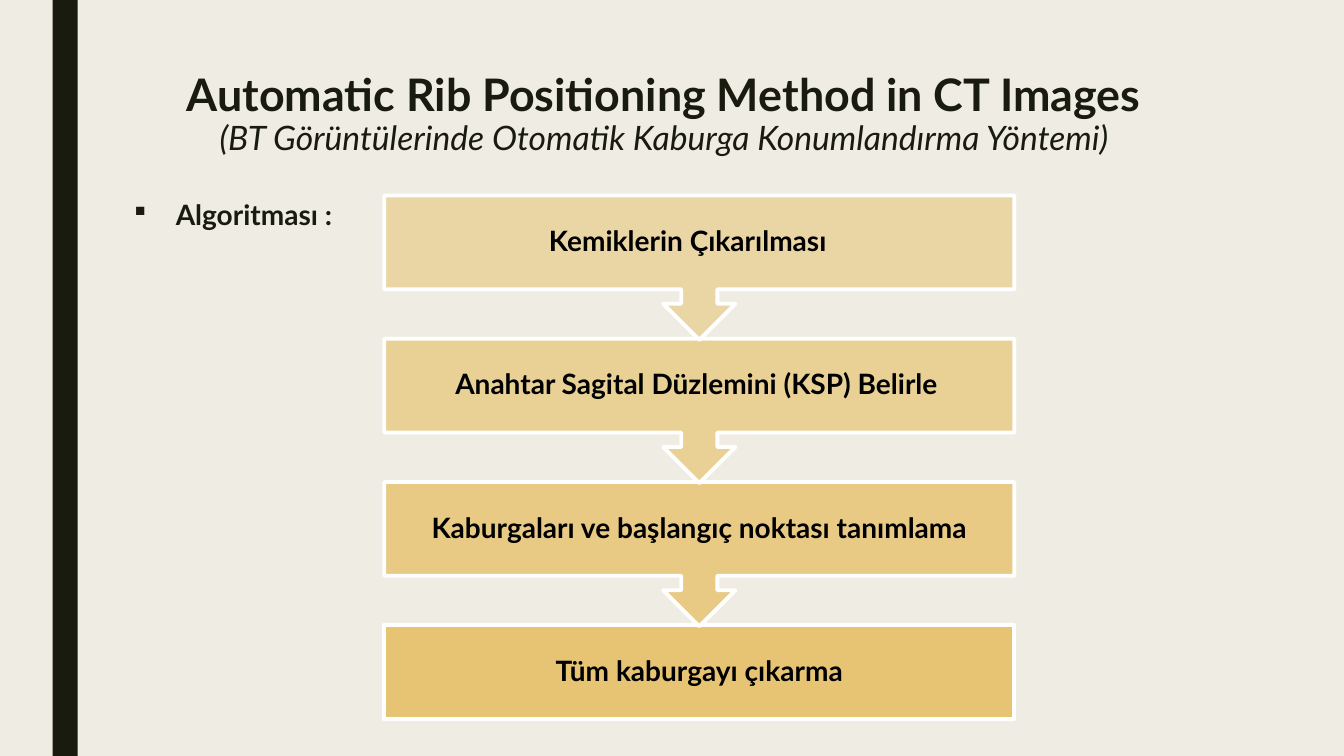
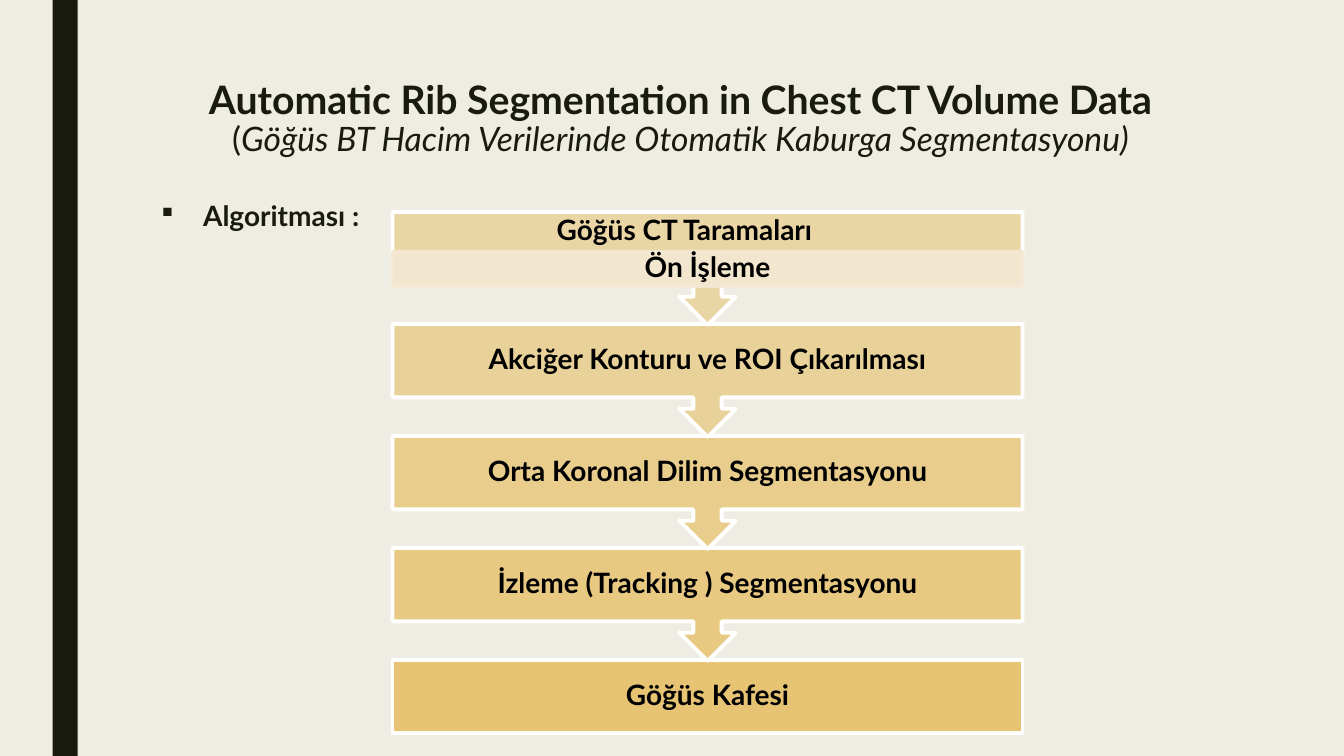
import pptx
import pptx.util
import pptx.dml.color
import pptx.enum.shapes
import pptx.enum.text
import pptx.oxml
import pptx.oxml.ns

Pt = pptx.util.Pt
SHAPES = pptx.enum.shapes.MSO_SHAPE
ANCHOR = pptx.enum.text.MSO_ANCHOR
CENTER = pptx.enum.text.PP_ALIGN.CENTER

FONT = "Lato"
PAPER, INK, BLACK, WHITE = "EFEDE3", "191B0E", "000000", "FFFFFF"
GOLD, CREAM = "E6C069", "F5E8D4"
PAGE_WIDTH, PAGE_HEIGHT = 960, 540
TITLE_LEFT, TITLE_WIDTH, TITLE_HEIGHT = 108, 756, 117
STEP_WIDTH, BOX_SHARE, OVERLAP = 450, 0.64977, 0.8
FIRST_ALPHA, LAST_ALPHA = 50, 90

SLIDES = [
    {
        "title_top": 49,
        "title": [
            ("Automatic Rib Positioning Method in CT Images", 32, 23.5,),
        ],
        "subtitle": [
            ("(BT Görüntülerinde Otomatik Kaburga Konumlandırma Yöntemi)", True),
        ],
        "label": (88.5, 139.7, 211),
        "flow": (274.5, 139.7, 67),
        "steps": [
            ("Kemiklerin Çıkarılması", 16.5),
            ("Anahtar Sagital Düzlemini (KSP) Belirle", 4),
            ("Kaburgaları ve başlangıç noktası tanımlama", 0),
            ("Tüm kaburgayı çıkarma", 0),
        ],
        "strip": None,
    },
    {
        "title_top": 54,
        "title": [
            ("Automatic Rib Segmentation in Chest CT Volume Data", 28, 0),
        ],
        "subtitle": [
            ("(", False),
            ("Göğüs BT Hacim Verilerinde Otomatik Kaburga Segmentasyonu)", True),
        ],
        "label": (108, 140.4, 163),
        "flow": (280.4, 151.4, 52.5),
        "steps": [
            ("Göğüs CT Taramaları", 33),
            ("Akciğer Konturu ve ROI Çıkarılması", 0),
            ("Orta Koronal Dilim Segmentasyonu", 0),
            ("İzleme (Tracking ) Segmentasyonu", 0),
            ("Göğüs Kafesi", 0),
        ],
        "strip": ("Ön İşleme", 28.4, 24.4),
    },
]


def color(hex_string):
    return pptx.dml.color.RGBColor.from_string(hex_string)


def paint(fill, hex_string, alpha=100):
    fill.solid()
    fill.fore_color.rgb = color(hex_string)
    if alpha < 100:
        tint = fill._xPr.find(".//" + pptx.oxml.ns.qn("a:srgbClr"))
        tint.append(pptx.oxml.parse_xml(
            f'<a:alpha {pptx.oxml.ns.nsdecls("a")} val="{round(alpha * 1000)}"/>'))


def add_span(para, text, size, hex_string, bold=True, italic=False):
    span = para.add_run()
    span.text = text
    font = span.font
    font.name, font.size, font.bold, font.italic = FONT, Pt(size), bold, italic
    font.color.rgb = color(hex_string)


def set_indent(para, **margins):
    for name, points in margins.items():
        para._p.get_or_add_pPr().set(name, str(Pt(points)))


def add_box(page, left, top, width, height):
    box = page.shapes.add_textbox(Pt(left), Pt(top), Pt(width), Pt(height))
    box.text_frame.word_wrap = True
    return box.text_frame


def add_shape(page, kind, left, top, width, height, fill, alpha=100, line=None, line_alpha=100):
    shape = page.shapes.add_shape(kind, Pt(left), Pt(top), Pt(width), Pt(height))
    shape.shadow.inherit = False
    paint(shape.fill, fill, alpha)
    if line:
        shape.line.width = Pt(2.75)
        paint(shape.line.fill, line, line_alpha)
    else:
        shape.line.fill.background()
    return shape


def write_step(shape, text, right_indent=0, reserved=0):
    frame = shape.text_frame
    frame.word_wrap = True
    frame.vertical_anchor = ANCHOR.MIDDLE
    frame.margin_left = frame.margin_right = Pt(11.5)
    frame.margin_top, frame.margin_bottom = Pt(0), Pt(reserved)
    para = frame.paragraphs[0]
    para.alignment, para.line_spacing = CENTER, 0.9
    set_indent(para, marR=right_indent)
    add_span(para, text, 20, BLACK)


def add_title(page, content):
    frame = add_box(page, TITLE_LEFT, content["title_top"], TITLE_WIDTH, TITLE_HEIGHT)
    heading, subtitle = frame.paragraphs[0], frame.add_paragraph()
    for para in (heading, subtitle):
        para.alignment, para.line_spacing = CENTER, 0.89
    for text, size, right_indent in content["title"]:
        set_indent(heading, marR=right_indent)
        add_span(heading, text, size, INK)
    for text, italic in content["subtitle"]:
        add_span(subtitle, text, 24, INK, bold=False, italic=italic)


def add_label(page, left, top, width):
    para = add_box(page, left, top, width, 55).paragraphs[0]
    para.line_spacing = 0.94
    set_indent(para, marL=30, indent=-30)
    for bullet in ('buFont typeface="Wingdings"', 'buChar char="§"'):
        para._p.get_or_add_pPr().append(pptx.oxml.parse_xml(
            f'<a:{bullet} {pptx.oxml.ns.nsdecls("a")}/>'))
    add_span(para, "Algoritması :", 20, INK)


def add_flow(page, content):
    left, top, box_height = content["flow"]
    steps, strip = content["steps"], content["strip"]
    callout_height = box_height / BOX_SHARE
    last = len(steps) - 1
    for index in range(last, -1, -1):
        text, right_indent = steps[index]
        kind, height = SHAPES.DOWN_ARROW_CALLOUT, callout_height
        if index == last:
            kind, height = SHAPES.RECTANGLE, box_height
        alpha = FIRST_ALPHA + (LAST_ALPHA - FIRST_ALPHA) * index / last
        step = add_shape(page, kind, left, top + index * (callout_height - OVERLAP),
                         STEP_WIDTH, height, GOLD, alpha, WHITE)
        reserved = strip[2] if strip and index == 0 else 0
        write_step(step, text, right_indent, reserved)
    if strip:
        text, offset, height = strip
        write_step(add_shape(page, SHAPES.RECTANGLE, left, top + offset, STEP_WIDTH, height,
                             CREAM, 90, CREAM, 90), text)


def main():
    deck = pptx.Presentation()
    deck.slide_width, deck.slide_height = Pt(PAGE_WIDTH), Pt(PAGE_HEIGHT)
    paint(deck.slide_master.background.fill, PAPER)
    for content in SLIDES:
        page = deck.slides.add_slide(deck.slide_layouts[6])
        add_shape(page, SHAPES.RECTANGLE, 37.5, 0, 18, PAGE_HEIGHT, INK)
        add_title(page, content)
        add_label(page, *content["label"])
        add_flow(page, content)
    deck.save("out.pptx")


if __name__ == "__main__":
    main()
